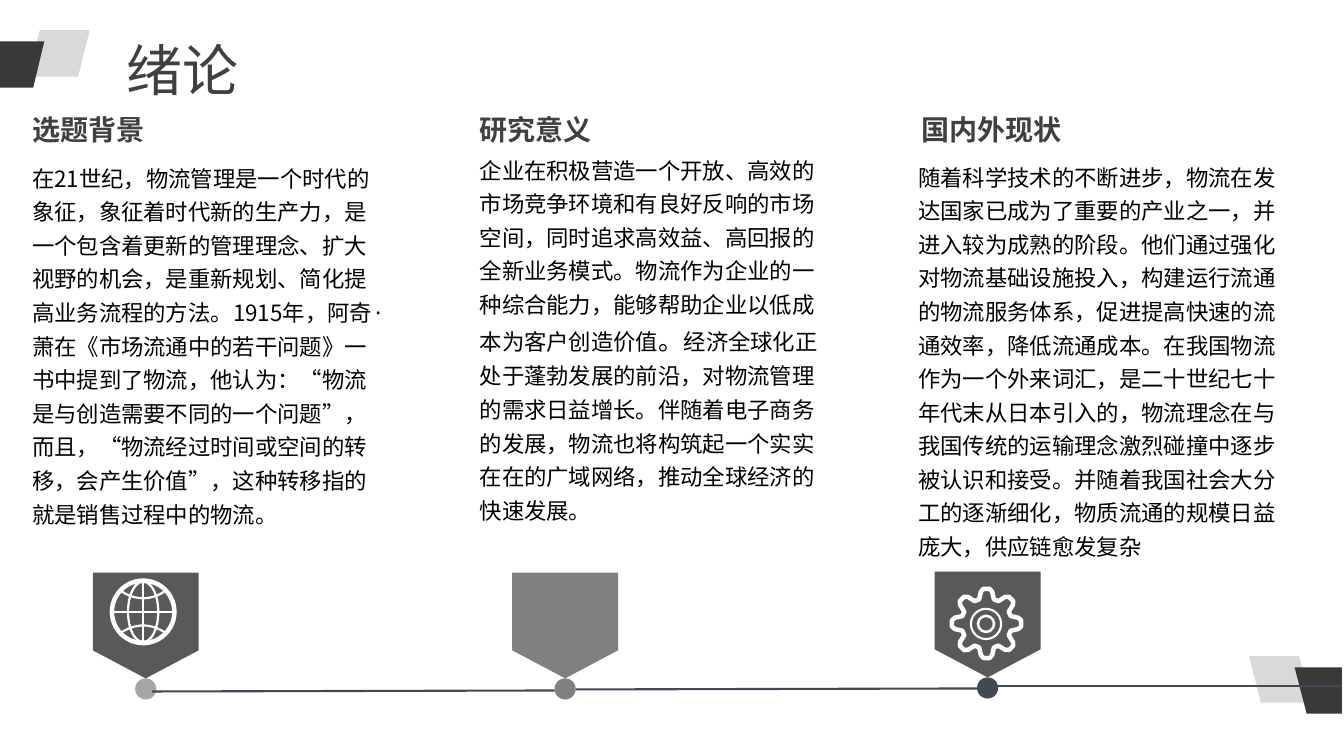
from math import cos, radians, sin

from lxml import etree
from pptx import Presentation
from pptx import util as u
from pptx.dml.color import RGBColor
from pptx.enum import shapes, text
from pptx.oxml.ns import qn

PX = 9144  # 100 px to the inch
WHITE = RGBColor(0xFF, 0xFF, 0xFF)
BLACK = RGBColor(0, 0, 0)
INK = RGBColor(0x40, 0x40, 0x40)
DARK = RGBColor(0x3B, 0x38, 0x38)
PALE = RGBColor(0xD9, 0xD9, 0xD9)
LIGHT = RGBColor(0xA6, 0xA6, 0xA6)
MIDDLE = RGBColor(0x80, 0x80, 0x80)
CHARCOAL = RGBColor(0x59, 0x59, 0x59)
SLATE = RGBColor(0x41, 0x49, 0x55)
SANS_SC = "Noto Sans CJK SC"
SANS_JP = "Noto Sans CJK JP"
KIND = shapes.MSO_SHAPE

presentation = Presentation()
presentation.slide_width = 1333 * PX
presentation.slide_height = 750 * PX
slide = presentation.slides.add_slide(presentation.slide_layouts[6])


def paint(shape, fill=None, line=None, width=0):
    shape.shadow.inherit = False
    if fill is None:
        shape.fill.background()
    else:
        shape.fill.solid()
        shape.fill.fore_color.rgb = fill
    if line is None:
        shape.line.fill.background()
    else:
        shape.line.color.rgb = line
        shape.line.width = u.Pt(width)


def add_text(left, top, width, height, parts, size, color, name, bold=False):
    box = slide.shapes.add_textbox(left * PX, top * PX, width * PX, height * PX)
    box.text_frame.word_wrap = True
    box.text_frame.auto_size = text.MSO_AUTO_SIZE.SHAPE_TO_FIT_TEXT
    paragraph = box.text_frame.paragraphs[0]
    fonts = [(paragraph.font, size, name)]
    for part in parts:
        run = paragraph.add_run()
        run.text = part
        if part == "。":  # the full stop between the two halves is larger
            fonts.append((run.font, 18, SANS_SC))
    for font, points, face in fonts:
        font.size = u.Pt(points)
        font.bold = bold
        font.color.rgb = color
        font.name = face
        etree.SubElement(font._rPr, qn("a:ea")).set("typeface", face)
    return paragraph


# Corner ornaments
corners = [
    (28, 30, False, [(-3, 41), (44, 41), (33, 87), (-3, 87)]),
    (1239, 651, True, [(1331, 662), (1284, 662), (1296, 708), (1331, 708)]),
]
for left, top, flipped, outline in corners:
    slanted = slide.shapes.add_shape(KIND.PARALLELOGRAM, left * PX, top * PX, 61 * PX, 46 * PX)
    if flipped:
        slanted._element.spPr.xfrm.set("flipH", "1")
    paint(slanted, PALE)
    builder = slide.shapes.build_freeform(*outline[0], scale=PX)
    builder.add_line_segments(outline[1:], close=True)
    paint(builder.convert_to_shape(), DARK)

# Title
title = add_text(116, 30, 193, 77, ["绪论"], 40, INK, SANS_SC)
title.alignment = text.PP_ALIGN.JUSTIFY

# Timeline dots and pointers
for left, top, color in [(134, 673, LIGHT), (969, 672, SLATE), (550, 673, MIDDLE)]:
    dot = slide.shapes.add_shape(KIND.OVAL, left * PX, top * PX, 21 * PX, 21 * PX)
    paint(dot, color)
for left, top, color in [(92, 568, CHARCOAL), (508, 568, MIDDLE), (927, 567, CHARCOAL)]:
    pointer = slide.shapes.add_shape(KIND.PENTAGON, left * PX, top * PX, 105 * PX, 105 * PX)
    pointer.adjustments[0] = 0.265
    pointer.rotation = 90
    paint(pointer, color)

# Timeline and the straight lines of the globe
for x1, y1, x2, y2, color, width in [
    (151, 686, 550, 685, SLATE, 1.5),
    (571, 684, 970, 683, SLATE, 1.5),
    (990, 681, 1331, 681, SLATE, 1.5),
    (112, 607, 171, 607, WHITE, 1.6),
    (142, 577, 142, 637, WHITE, 1.8),
]:
    line = slide.shapes.add_connector(
        shapes.MSO_CONNECTOR.STRAIGHT, x1 * PX, y1 * PX, x2 * PX, y2 * PX)
    line.line.color.rgb = color
    line.line.width = u.Pt(width)
    etree.SubElement(line._element.spPr, qn("a:effectLst"))

# Round outlines: globe rim and meridian, gear rings
for left, top, width, height, weight in [
    (111, 576, 62, 62, 3.2),
    (127, 577, 30, 60, 1.6),
    (963, 604, 30, 30, 1.5),
    (970, 611, 16, 16, 1.8),
]:
    ring = slide.shapes.add_shape(KIND.OVAL, left * PX, top * PX, width * PX, height * PX)
    paint(ring, line=WHITE, width=weight)

# Curved parallels of the globe and the gear outline
curves = []
for side in (-1, 1):
    parallel = [(142 + x, 607 + side * (13.5 + 6.5 * (x / 21) ** 2)) for x in range(-21, 22, 3)]
    curves.append((parallel, False, 1.6))
tooth = [(25, -17), (32, -10), (34.5, -5), (34.5, 5), (32, 10), (25, 17)]
gear = [
    (978.5 + radius * cos(radians(turn + angle)), 618.5 + radius * sin(radians(turn + angle)))
    for turn in range(0, 360, 45)
    for radius, angle in tooth
]
curves.append((gear, True, 3.2))
for points, closed, weight in curves:
    points = [(x * PX, y * PX) for x, y in points]
    builder = slide.shapes.build_freeform(*points[0])
    builder.add_line_segments(points[1:], close=closed)
    paint(builder.convert_to_shape(), line=WHITE, width=weight)

# Three columns: heading box, body box, wording
columns = [
    ((22, 107, 167, 44), "选题背景", (22, 152, 373, 415), [
        "在21世纪，物流管理是一个时代的象征，象征着时代新的生产力，是一个包含着更新的管理理念、"
        "扩大视野的机会，是重新规划、简化提高业务流程的方法。1915年，阿奇·萧在《市场流通中的若干问题》"
        "一书中提到了物流，他认为：“物流是与创造需要不同的一个问题”，而且，“物流经过时间或空间的转移，"
        "会产生价值”，这种转移指的就是销售过程中的物流。"]),
    ((466, 107, 156, 44), "研究意义", (466, 144, 364, 382), [
        "企业在积极营造一个开放、高效的市场竞争环境和有良好反响的市场空间，同时追求高效益、"
        "高回报的全新业务模式。物流作为企业的一种综合能力，能够帮助企业以低成本为客户创造价值",
        "。",
        "经济全球化正处于蓬勃发展的前沿，对物流管理的需求日益增长。伴随着电子商务的发展，"
        "物流也将构筑起一个实实在在的广域网络，推动全球经济的快速发展。"]),
    ((904, 107, 164, 44), "国内外现状", (901, 151, 390, 412), [
        "随着科学技术的不断进步，物流在发达国家已成为了重要的产业之一，并进入较为成熟的阶段。"
        "他们通过强化对物流基础设施投入，构建运行流通的物流服务体系，促进提高快速的流通效率，"
        "降低流通成本。在我国物流作为一个外来词汇，是二十世纪七十年代末从日本引入的，"
        "物流理念在与我国传统的运输理念激烈碰撞中逐步被认识和接受。"
        "并随着我国社会大分工的逐渐细化，物质流通的规模日益庞大，供应链愈发复杂"]),
]
for heading_box, heading, body_box, parts in columns:
    body = add_text(*body_box, parts, 16, BLACK, SANS_JP)
    body.line_spacing = 1.25
    add_text(*heading_box, [heading], 20, INK, SANS_JP, bold=True)

presentation.save("out.pptx")
